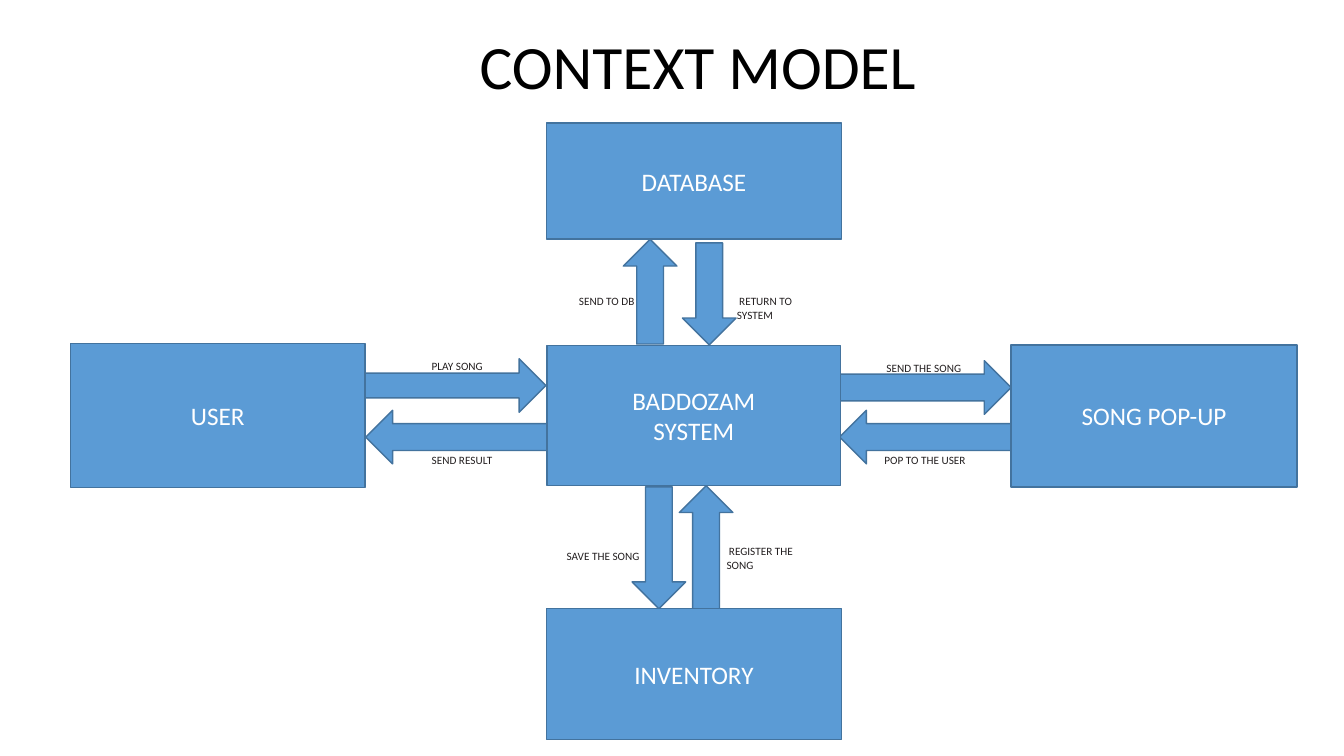
from dataclasses import dataclass

from pptx import Presentation
from pptx.dml.color import RGBColor
from pptx.enum.shapes import MSO_SHAPE
from pptx.enum.text import MSO_ANCHOR, PP_ALIGN
from pptx.util import Cm, Pt

FONT = "Calibri"
FILL, OUTLINE, LABEL_COLOR = "5B9BD5", "43739E", "231F20"
ARROW_THICKNESS = 1.35
LABEL_WIDTH, LABEL_HEIGHT, LABEL_INDENT = 2.21, 0.28, 0.06


@dataclass
class Entity:
    text: str
    left: float
    top: float
    width: float
    height: float


@dataclass
class Flow:
    arrow: MSO_SHAPE
    left: float
    top: float
    length: float
    label: str
    label_left: float
    label_top: float
    shaft: float = 0.5


ENTITIES = [
    Entity("BADDOZAM\nSYSTEM", 13.79, 8.71, 7.39, 3.53),
    Entity("SONG POP-UP", 25.48, 8.69, 7.21, 3.58),
    Entity("DATABASE", 13.77, 3.1, 7.44, 2.92),
    Entity("INVENTORY", 13.77, 15.34, 7.44, 3.3),
    Entity("USER", 1.78, 8.66, 7.42, 3.63),
]

RIGHT, LEFT = MSO_SHAPE.RIGHT_ARROW, MSO_SHAPE.LEFT_ARROW
UP, DOWN = MSO_SHAPE.UP_ARROW, MSO_SHAPE.DOWN_ARROW

FLOWS = [
    Flow(RIGHT, 9.19, 9.04, 4.57, "PLAY SONG", 10.82, 9.04, 0.463),
    Flow(LEFT, 9.22, 10.34, 4.57, "SEND RESULT", 10.82, 11.4),
    Flow(UP, 15.71, 6.03, 2.64, "SEND TO DB", 14.53, 7.39),
    Flow(DOWN, 17.2, 6.12, 2.57, "RETURN TO SYSTEM", 18.57, 7.39),
    Flow(UP, 17.12, 12.24, 3.1, "REGISTER THE SONG", 18.31, 13.69),
    Flow(DOWN, 15.93, 12.27, 3.07, "SAVE THE SONG", 14.22, 13.82),
    Flow(RIGHT, 21.16, 9.09, 4.32, "SEND THE SONG", 22.28, 9.09),
    Flow(LEFT, 21.16, 10.34, 4.32, "POP TO THE USER", 22.23, 11.4),
]


def rgb(value: str) -> RGBColor:
    return RGBColor.from_string(value)


def write(tf, text: str, *, size: float, color: str, align=PP_ALIGN.LEFT,
          anchor=MSO_ANCHOR.MIDDLE, spacing: float = 1.0, after: float = 0,
          indent: float = 0, inset: bool = True) -> None:
    tf.word_wrap = True
    tf.vertical_anchor = anchor
    if not inset:
        tf.margin_left = tf.margin_right = tf.margin_top = tf.margin_bottom = 0
    for i, line in enumerate(text.split("\n")):
        p = tf.paragraphs[0] if i == 0 else tf.add_paragraph()
        p.alignment = align
        p.line_spacing = spacing
        p.space_after = Pt(after)
        if indent:
            p._p.get_or_add_pPr().set("indent", str(int(Cm(indent))))
        r = p.add_run()
        r.text = line
        r.font.name = FONT
        r.font.size = Pt(size)
        r.font.color.rgb = rgb(color)


def add_block(s, kind: MSO_SHAPE, left: float, top: float,
              width: float, height: float):
    sp = s.shapes.add_shape(kind, Cm(left), Cm(top), Cm(width), Cm(height))
    sp.shadow.inherit = False
    sp.fill.solid()
    sp.fill.fore_color.rgb = rgb(FILL)
    sp.line.color.rgb = rgb(OUTLINE)
    sp.line.width = Pt(1)
    return sp


def add_entity(s, entity: Entity) -> None:
    sp = add_block(s, MSO_SHAPE.RECTANGLE, entity.left, entity.top,
                   entity.width, entity.height)
    write(sp.text_frame, entity.text, size=18, color="FFFFFF",
          align=PP_ALIGN.CENTER)


def add_arrow(s, flow: Flow) -> None:
    if flow.arrow in (RIGHT, LEFT):
        width, height = flow.length, ARROW_THICKNESS
    else:
        width, height = ARROW_THICKNESS, flow.length
    sp = add_block(s, flow.arrow, flow.left, flow.top, width, height)
    sp.adjustments[0] = flow.shaft


def add_label(s, flow: Flow) -> None:
    box = s.shapes.add_textbox(Cm(flow.label_left), Cm(flow.label_top),
                               Cm(LABEL_WIDTH), Cm(LABEL_HEIGHT))
    write(box.text_frame, flow.label, size=8, color=LABEL_COLOR,
          anchor=MSO_ANCHOR.TOP, spacing=1.07, after=8,
          indent=LABEL_INDENT, inset=False)


def main() -> None:
    prs = Presentation()
    prs.slide_width, prs.slide_height = Cm(33.87), Cm(19.05)
    s = prs.slides.add_slide(prs.slide_layouts[6])
    title = s.shapes.add_textbox(Cm(11.84), Cm(0), Cm(22), Cm(3.53))
    write(title.text_frame, "CONTEXT MODEL", size=44, color="000000",
          spacing=0.9)
    for flow in FLOWS:
        add_arrow(s, flow)
    for entity in ENTITIES:
        add_entity(s, entity)
    for flow in FLOWS:
        add_label(s, flow)
    prs.save("out.pptx")


if __name__ == "__main__":
    main()
